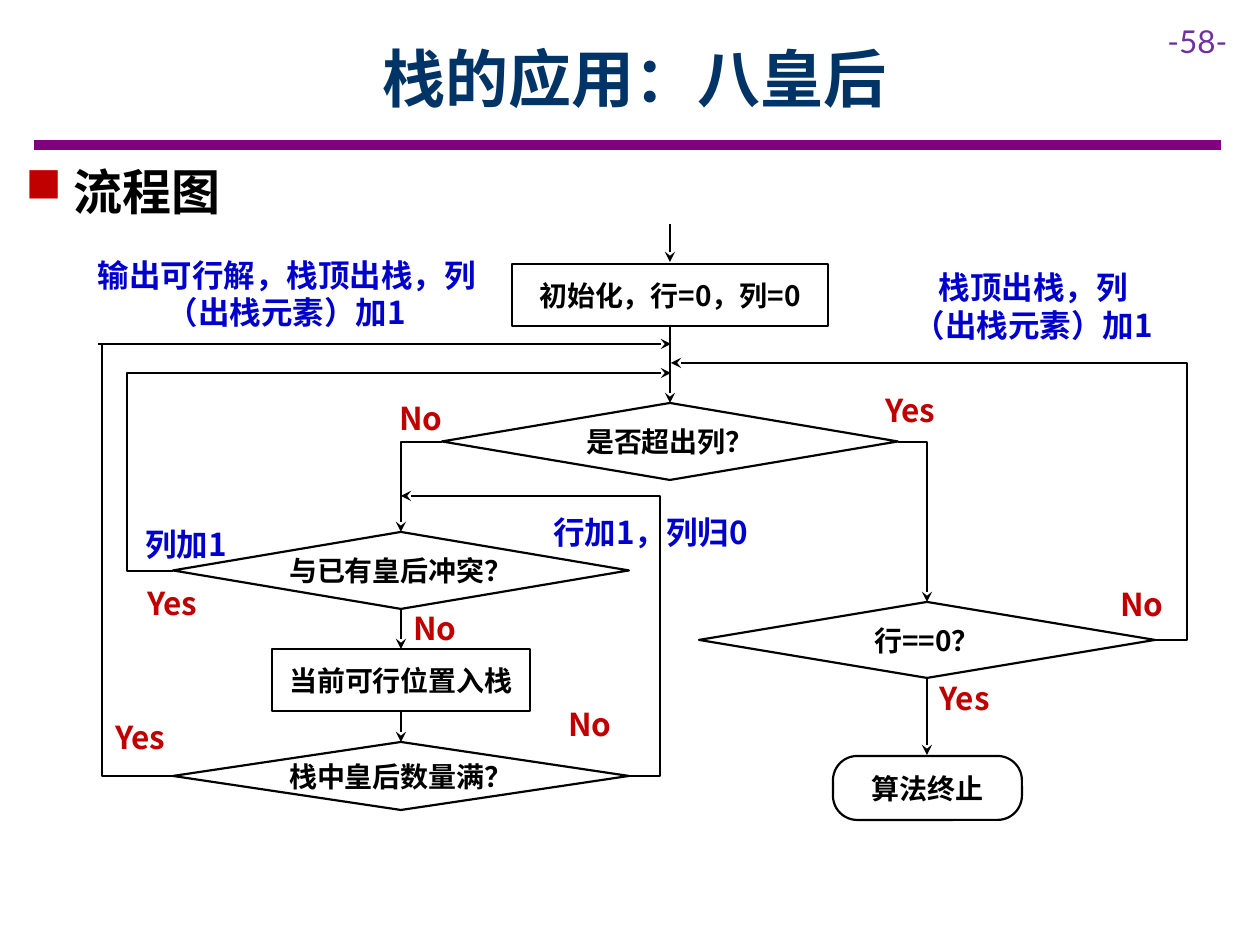
from lxml import etree
from pptx import Presentation
from pptx import util as u
from pptx.dml.color import RGBColor
from pptx.enum import shapes, text
from pptx.oxml.ns import qn

PX = u.Inches(1) // 126
FONT = "Noto Sans CJK SC"
COLORS = {"ink": "000000", "title": "003366", "rule": "800080", "page": "7030A0",
          "action": "0000CC", "answer": "C00000"}
SHAPE, LINE = shapes.MSO_SHAPE, shapes.MSO_CONNECTOR
CENTER, LEFT = text.PP_ALIGN.CENTER, text.PP_ALIGN.LEFT
TOP, MIDDLE = text.MSO_ANCHOR.TOP, text.MSO_ANCHOR.MIDDLE


def write(sp, words, size, color, align=CENTER, anchor=MIDDLE, wrap=True, font=FONT, bold=True):
    tf = sp.text_frame
    tf.text = words
    tf.word_wrap = wrap
    tf.vertical_anchor = anchor
    if anchor == MIDDLE:
        tf.margin_top = tf.margin_bottom = u.Inches(0.1)
    p = tf.paragraphs[0]
    p.alignment = align
    f = p.runs[0].font
    f.size, f.bold, f.name = u.Pt(size), bold, font
    f.color.rgb = RGBColor.from_string(COLORS[color])
    etree.SubElement(p.runs[0]._r.rPr, qn("a:ea")).set("typeface", font)
    return p


def connect(start, end, kind=LINE.STRAIGHT, color="ink", width=1.25, arrow=True):
    c = s.shapes.add_connector(kind, *[v * PX for v in start + end])
    c.line.color.rgb = RGBColor.from_string(COLORS[color])
    c.line.width = u.Pt(width)
    if arrow:
        etree.SubElement(c.line._get_or_add_ln(), qn("a:tailEnd")).set("type", "stealth")
    etree.SubElement(c._element.spPr, qn("a:effectLst"))
    return c


prs = Presentation()
prs.slide_width, prs.slide_height = u.Inches(10), u.Inches(7.5)
s = prs.slides.add_slide(prs.slide_layouts[6])

# Header: rule, page number, title
connect((34, 145), (1221, 145), color="rule", width=6, arrow=False)
tb = s.shapes.add_textbox(1155 * PX, 16 * PX, 105 * PX, 50 * PX)
write(tb, "-58-", 18, "page", LEFT, TOP, font="Lato", bold=False)
tb = s.shapes.add_textbox(111 * PX, 33 * PX, 1047 * PX, 126 * PX)
write(tb, "栈的应用：八皇后", 36, "title", anchor=TOP)

# Section heading with a square bullet
tb = s.shapes.add_textbox(13 * PX, 155 * PX, 1193 * PX, 72 * PX)
p = write(tb, "流程图", 28, "ink", LEFT, TOP)
pPr = p._p.get_or_add_pPr()
pPr.set("marL", str(48 * PX))
pPr.set("indent", str(-48 * PX))
bullet_color = etree.SubElement(pPr, qn("a:buClr"))
etree.SubElement(bullet_color, qn("a:srgbClr")).set("val", COLORS["answer"])
etree.SubElement(pPr, qn("a:buChar")).set("char", "■")

# Flowchart nodes
nodes = [
    (SHAPE.RECTANGLE, 512, 264, 316, 62, "初始化，行=0，列=0"),
    (SHAPE.DIAMOND, 442, 403, 456, 77, "是否超出列？"),
    (SHAPE.DIAMOND, 173, 532, 456, 77, "与已有皇后冲突？"),
    (SHAPE.RECTANGLE, 272, 649, 258, 62, "当前可行位置入栈"),
    (SHAPE.DIAMOND, 173, 742, 456, 68, "栈中皇后数量满？"),
    (SHAPE.DIAMOND, 699, 602, 456, 76, "行==0？"),
    (SHAPE.ROUNDED_RECTANGLE, 833, 756, 189, 64, "算法终止"),
]
for kind, x, y, w, h, words in nodes:
    sp = s.shapes.add_shape(kind, x * PX, y * PX, w * PX, h * PX)
    sp.shadow.inherit = False
    sp.fill.background()
    sp.line.color.rgb = RGBColor.from_string(COLORS["ink"])
    sp.line.width = u.Pt(1.25)
    if kind == SHAPE.ROUNDED_RECTANGLE:
        sp.adjustments[0] = 0.38
    write(sp, words, 16, "ink", wrap=kind != SHAPE.DIAMOND)

# Straight arrows
for start, end in [((670, 224), (670, 262)), ((670, 326), (670, 403)),
                   ((401, 609), (401, 649)), ((401, 711), (401, 742)),
                   ((927, 678), (927, 755)), ((98, 344), (671, 344))]:
    connect(start, end)

# One-corner connectors: horizontal, then vertical
for start, end, arrow in [((898, 442), (927, 602), True),
                          ((442, 442), (401, 532), True),
                          ((173, 776), (102, 343), False)]:
    c = connect(start, end, LINE.ELBOW, arrow=arrow)
    c._element.spPr.find(qn("a:prstGeom")).set("prst", "bentConnector2")

# Loop-back connectors, turning at bend_x outside their ends
for start, end, bend_x in [((173, 571), (671, 373), 127),
                           ((629, 776), (401, 496), 660),
                           ((1155, 640), (671, 363), 1187)]:
    c = connect(start, end, LINE.ELBOW)
    ratio = (bend_x - start[0]) / (end[0] - start[0])
    guides = c._element.spPr.find(qn("a:prstGeom")).get_or_add_avLst()
    etree.SubElement(guides, qn("a:gd"), name="adj1", fmla=f"val {round(ratio * 100000)}")

# Actions and branch answers
labels = [
    (120, 522, 132, 44, "列加1", "action"),
    (517, 507, 267, 49, "行加1，列归0", "action"),
    (57, 248, 459, 91, "输出可行解，栈顶出栈，列（出栈元素）加1", "action"),
    (898, 284, 271, 44, "栈顶出栈，列（出栈元素）加1", "action"),
    (389, 606, 92, 44, "No", "answer"),
    (375, 396, 92, 44, "No", "answer"),
    (544, 702, 92, 44, "No", "answer"),
    (1096, 582, 92, 44, "No", "answer"),
    (115, 582, 115, 42, "Yes", "answer"),
    (96, 716, 89, 42, "Yes", "answer"),
    (920, 677, 89, 42, "Yes", "answer"),
    (866, 389, 89, 42, "Yes", "answer"),
]
for x, y, w, h, words, color in labels:
    tb = s.shapes.add_textbox(x * PX, y * PX, w * PX, h * PX)
    write(tb, words, 18, color)

prs.save("out.pptx")
